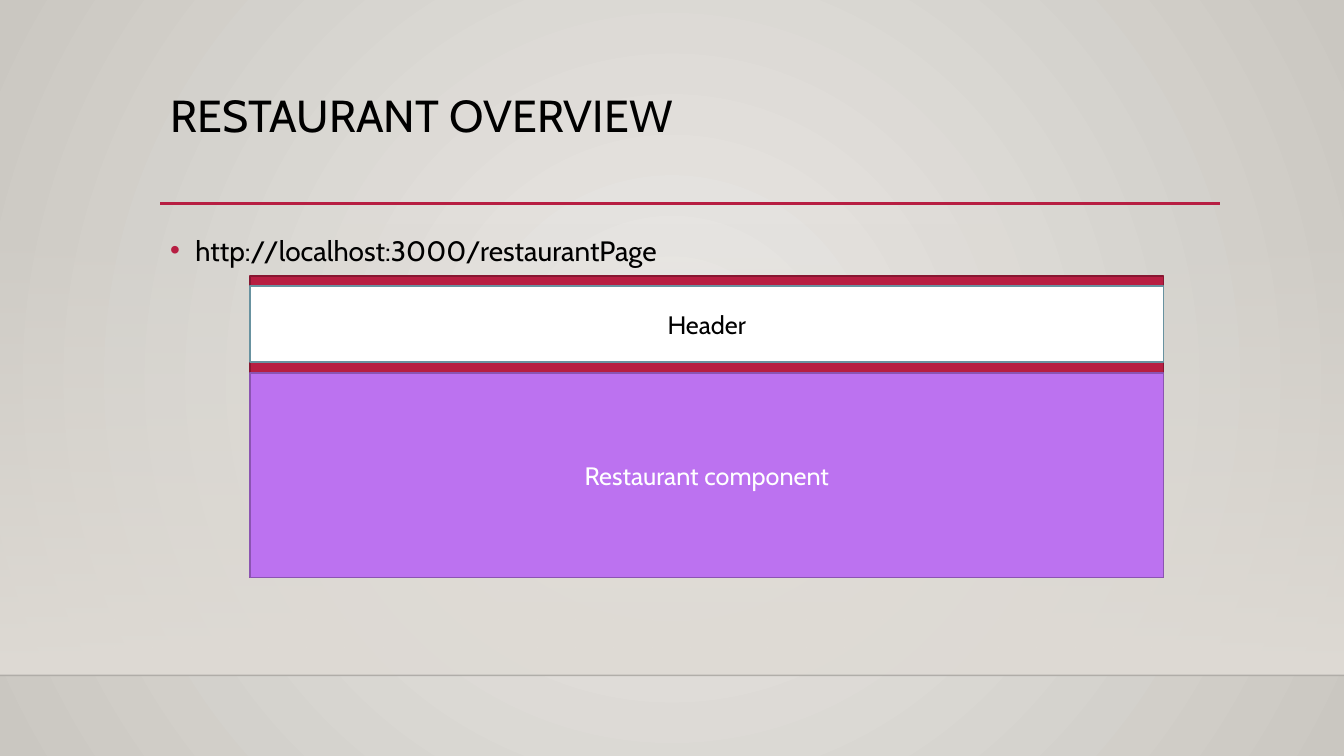
from pptx import Presentation
from pptx.dml.color import RGBColor
from pptx.enum.shapes import MSO_CONNECTOR as CONNECTOR, MSO_SHAPE as SHAPE
from pptx.enum.text import MSO_ANCHOR as ANCHOR, PP_ALIGN as ALIGN
from pptx.oxml import parse_xml
from pptx.oxml.ns import nsdecls, qn
from pptx.util import Inches, Pt

COLORS = {
    "backdrop_center": "ECEAE7", "backdrop_edge": "CAC7C1", "floor": "DFDBD5",
    "black": "000000", "white": "FFFFFF", "red": "B71E42", "dark_red": "871631",
    "blue": "6892A0", "purple": "BC72F0", "dark_purple": "8B54B2",
}
NS = nsdecls("a")


def color(name):
    return RGBColor.from_string(COLORS[name])


def set_gradient(solid_fill, start, end, start_alpha, direction):
    """Swap a solid fill element for a two-stop gradient."""
    gradient = parse_xml(
        f'<a:gradFill {NS} rotWithShape="1"><a:gsLst>'
        f'<a:gs pos="0"><a:srgbClr val="{COLORS[start]}"><a:alpha val="{start_alpha}"/></a:srgbClr></a:gs>'
        f'<a:gs pos="100000"><a:srgbClr val="{COLORS[end]}"/></a:gs>'
        f'</a:gsLst>{direction}</a:gradFill>')
    solid_fill.getparent().replace(solid_fill, gradient)


prs = Presentation()
prs.slide_width, prs.slide_height = Inches(13.33), Inches(7.5)
slide = prs.slides.add_slide(prs.slide_layouts[5])
shapes = slide.shapes

# Background
slide.background.fill.solid()
backdrop_fill = next(slide.element.iter(qn("p:bgPr"))).find(qn("a:solidFill"))
set_gradient(backdrop_fill, "backdrop_center", "backdrop_edge", 100000,
             '<a:path path="circle"><a:fillToRect l="50000" t="50000" r="50000" b="50000"/></a:path>')

# Fading band above the floor line
band = shapes.add_shape(SHAPE.RECTANGLE, 0, Inches(2.21), Inches(13.33), Inches(4.49))
band.shadow.inherit = False
band.line.fill.background()
band.fill.solid()
set_gradient(band.element.spPr.find(qn("a:solidFill")), "floor", "floor", 0,
             '<a:lin ang="5400000" scaled="0"/>')

# Floor line and title rule
for left, right, y, name, width, alpha in [
    (0, 13.33, 6.7, "black", 1, 20000),
    (1.59, 12.1, 2.02, "red", 2.5, 100000),
]:
    rule = shapes.add_connector(CONNECTOR.STRAIGHT, Inches(left), Inches(y), Inches(right), Inches(y))
    rule.line.color.rgb = color(name)
    rule.line.width = Pt(width)
    rule_color = next(rule.element.spPr.iter(qn("a:srgbClr")))
    rule_color.append(parse_xml(f'<a:alpha {NS} val="{alpha}"/>'))
    rule.element.spPr.append(parse_xml(f"<a:effectLst {NS}/>"))

# Title and address
title = shapes.title
title.left, title.top, title.width, title.height = Inches(1.59), Inches(0.88), Inches(10.5), Inches(1.15)
address = shapes.add_textbox(Inches(1.59), Inches(2.2), Inches(10.5), Inches(3.77))
for box, text, size, spacing in [
    (title, "RESTAURANT OVERVIEW", 32, 0.9),
    (address, "http://localhost:3000/restaurantPage", 20, 1.2),
]:
    frame = box.text_frame
    frame.text = text
    frame.word_wrap = True
    frame.vertical_anchor = ANCHOR.TOP
    paragraph = frame.paragraphs[0]
    paragraph.alignment = ALIGN.LEFT
    paragraph.line_spacing = spacing
    font = paragraph.runs[0].font
    font.name, font.size, font.color.rgb = "Cabin", Pt(size), color("black")

# Bullet of the address
bullet = address.text_frame.paragraphs[0]._p.get_or_add_pPr()
bullet.set("marL", str(Inches(0.25)))
bullet.set("indent", str(Inches(-0.25)))
bullet.append(parse_xml(f'<a:buClr {NS}><a:srgbClr val="{COLORS["red"]}"/></a:buClr>'))
bullet.append(parse_xml(f'<a:buFont {NS} typeface="Arial"/>'))
bullet.append(parse_xml(f'<a:buChar {NS} char="•"/>'))

# Page layout: frame, header and component
for text, top, height, fill, line, text_color in [
    ("", 2.74, 2.99, "red", "dark_red", "white"),
    ("Header", 2.84, 0.75, "white", "blue", "black"),
    ("Restaurant component", 3.7, 2.03, "purple", "dark_purple", "white"),
]:
    block = shapes.add_shape(SHAPE.RECTANGLE, Inches(2.48), Inches(top), Inches(9.06), Inches(height))
    block.shadow.inherit = False
    block.fill.solid()
    block.fill.fore_color.rgb = color(fill)
    block.line.color.rgb = color(line)
    block.line.width = Pt(1.25)
    if text:
        block.text_frame.text = text
        block.text_frame.vertical_anchor = ANCHOR.MIDDLE
        label = block.text_frame.paragraphs[0]
        label.alignment = ALIGN.CENTER
        font = label.runs[0].font
        font.name, font.size, font.color.rgb = "Cabin", Pt(18), color(text_color)

prs.save("out.pptx")
